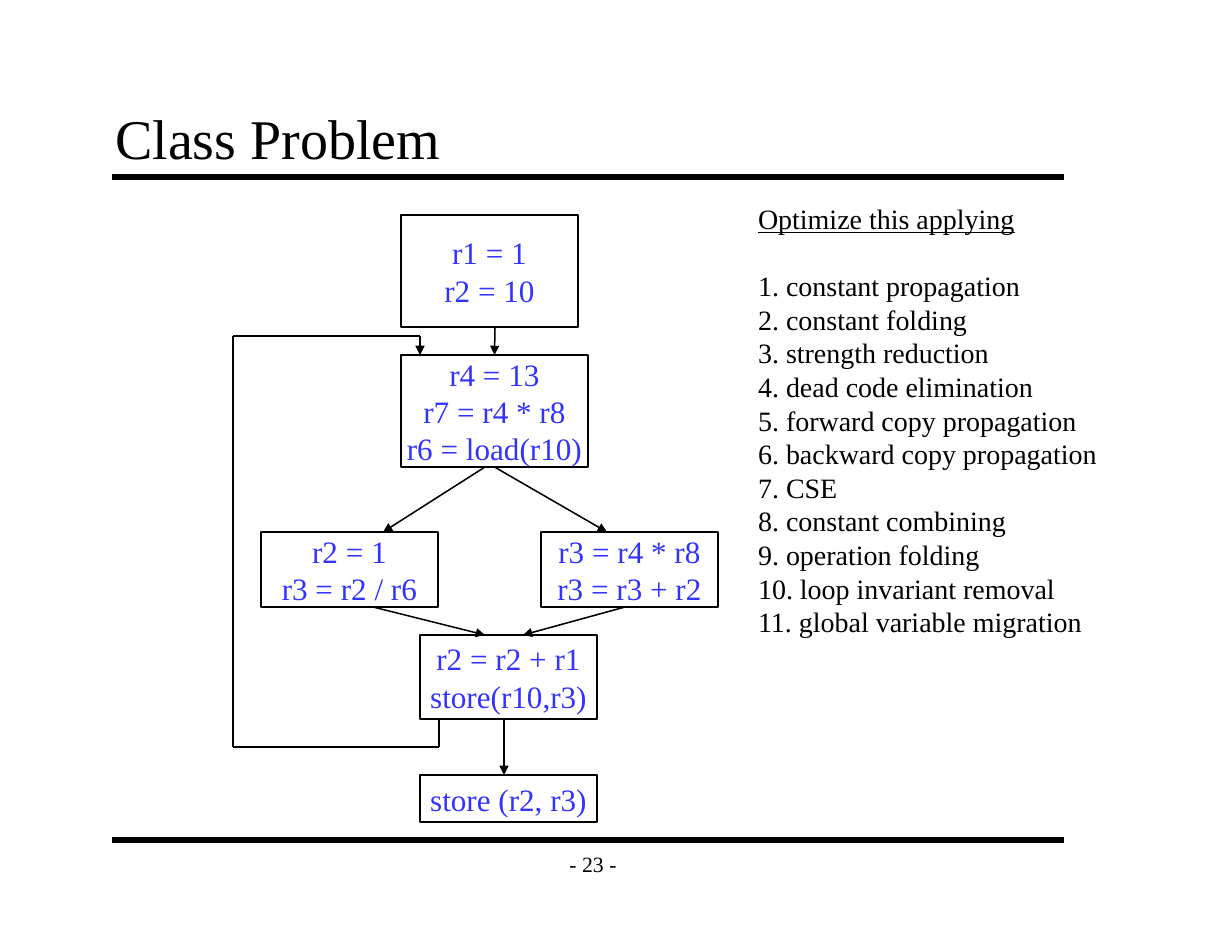
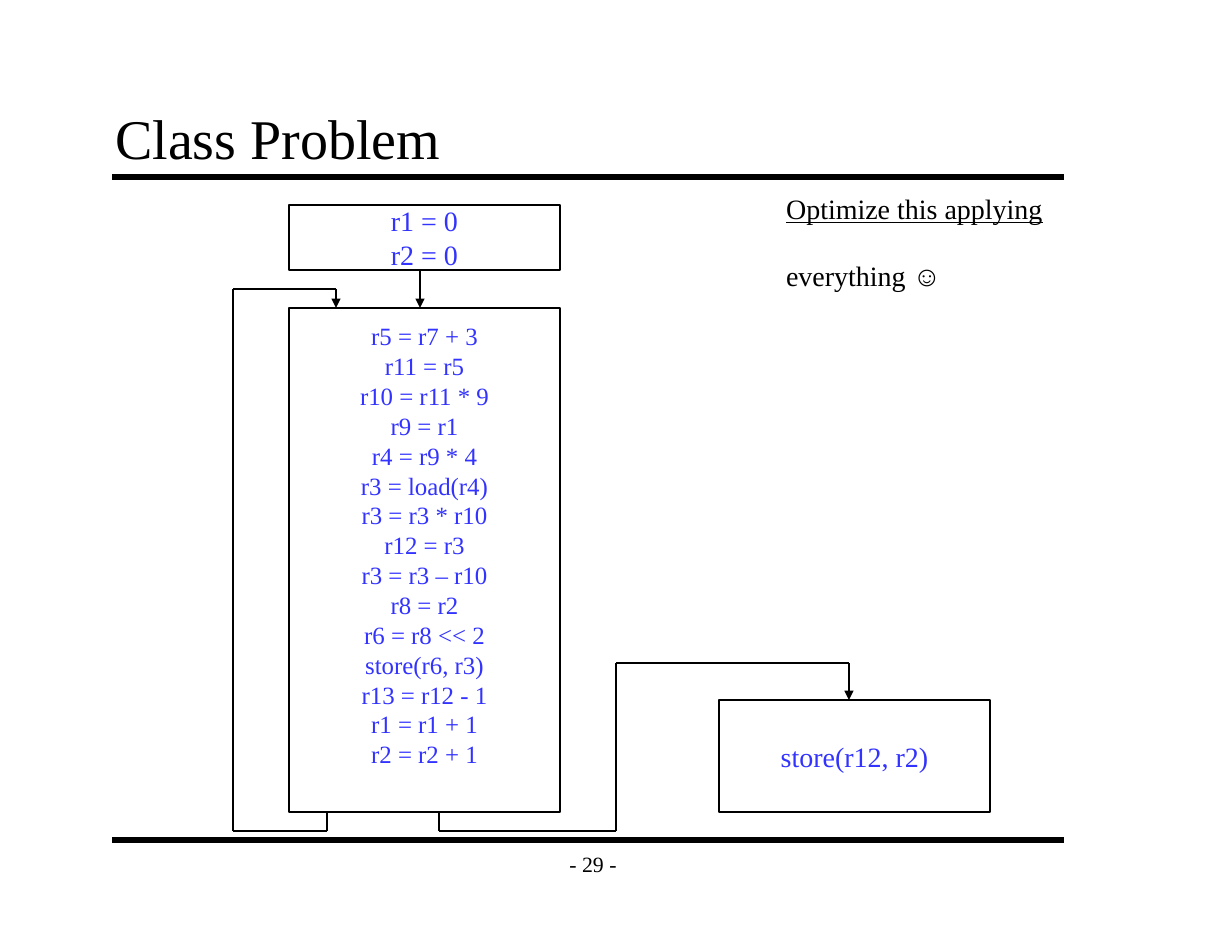
"""Build two class problem slides with control-flow graphs."""
from itertools import pairwise

from lxml.etree import SubElement
from pptx import Presentation
from pptx.dml.color import RGBColor
from pptx.enum.shapes import MSO_CONNECTOR, MSO_SHAPE
from pptx.enum.text import MSO_ANCHOR, MSO_AUTO_SIZE, PP_ALIGN
from pptx.oxml.ns import qn
from pptx.util import Inches, Pt

FONT = "Times New Roman"
COLORS = {"ink": "000000", "code": "3333FF", "paper": "FFFFFF"}


def tint(name):
    return RGBColor.from_string(COLORS[name])


class Deck:
    def __init__(self):
        self.prs = Presentation()
        self.prs.slide_width = Inches(11)
        self.prs.slide_height = Inches(8.5)
        self.slide = None

    def page(self, title, number):
        self.slide = self.prs.slides.add_slide(self.prs.slide_layouts[5])
        for y in (1.58, 7.5):
            self.line((1, y), (9.5, y), 4)
        foot = self.slide.shapes.add_textbox(*map(Inches, (4.92, 7.5, 0.75, 0.42)))
        self.label(foot, f"- {number} -", 14, align=PP_ALIGN.CENTER,
                   anchor=MSO_ANCHOR.MIDDLE)
        head = self.slide.shapes.title
        head.left, head.top, head.width, head.height = map(
            Inches, (0.92, 0.91, 8.5, 0.67))
        self.label(head, title, 36, anchor=MSO_ANCHOR.BOTTOM, wrap=True)
        for item in (foot, head):
            frame = item.text_frame
            frame.margin_left = frame.margin_right = Inches(0.11)
            frame.margin_top = frame.margin_bottom = Inches(0.06)

    def label(self, shape, text, size, color="ink", align=PP_ALIGN.LEFT,
              anchor=MSO_ANCHOR.TOP, wrap=False):
        frame = shape.text_frame
        frame.text = text
        frame.word_wrap = wrap
        frame.auto_size = MSO_AUTO_SIZE.NONE
        frame.vertical_anchor = anchor
        for para in frame.paragraphs:
            para.alignment = align
            for run in para.runs:
                run.font.name = FONT
                run.font.size = Pt(size)
                run.font.color.rgb = tint(color)

    def block(self, x, y, wide, high, text, size=20):
        box = self.slide.shapes.add_shape(
            MSO_SHAPE.RECTANGLE, *map(Inches, (x, y, wide, high)))
        box.shadow.inherit = False
        box.fill.solid()
        box.fill.fore_color.rgb = tint("paper")
        box.line.color.rgb = tint("ink")
        box.line.width = Pt(1)
        self.label(box, text, size, "code", PP_ALIGN.CENTER, MSO_ANCHOR.MIDDLE)
        return box

    def notes(self, x, y, wide, high, head, body):
        box = self.slide.shapes.add_textbox(*map(Inches, (x, y, wide, high)))
        self.label(box, f"{head}\n{body}", 18)
        first, second = box.text_frame.paragraphs[:2]
        first.runs[0].font.underline = True
        second.space_before = Pt(21.6)

    def line(self, start, end, width=1, arrow=False):
        link = self.slide.shapes.add_connector(
            MSO_CONNECTOR.STRAIGHT, *map(Inches, (*start, *end)))
        link.line.color.rgb = tint("ink")
        link.line.width = Pt(width)
        props = link._element.spPr
        if arrow:
            SubElement(props.find(qn("a:ln")), qn("a:tailEnd"), type="triangle")
        SubElement(props, qn("a:effectLst"))
        return link

    def arrow(self, start, end):
        return self.line(start, end, arrow=True)

    def route(self, *points):
        pairs = list(pairwise(points))
        for start, end in pairs[:-1]:
            self.line(start, end)
        self.arrow(*pairs[-1])


def passes(deck):
    deck.page("Class Problem", 23)
    deck.block(3.58, 1.92, 1.58, 1, "r1 = 1\nr2 = 10")
    test = deck.block(3.58, 3.17, 1.67, 1, "r4 = 13\nr7 = r4 * r8\nr6 = load(r10)")
    deck.block(2.33, 4.75, 1.58, 0.67, "r2 = 1\nr3 = r2 / r6")
    deck.block(4.83, 4.75, 1.58, 0.67, "r3 = r4 * r8\nr3 = r3 + r2")
    deck.block(3.75, 5.67, 1.58, 0.75, "r2 = r2 + r1\nstore(r10,r3)")
    deck.block(3.75, 6.92, 1.58, 0.42, "store (r2, r3)")
    deck.arrow((4.42, 2.92), (4.42, 3.17)).end_connect(test, 0)
    deck.arrow((4.33, 4.17), (3.42, 4.75))
    deck.arrow((4.42, 4.17), (5.42, 4.75)).begin_connect(test, 2)
    deck.arrow((3.33, 5.42), (4.33, 5.67))
    deck.arrow((5.58, 5.42), (4.67, 5.67))
    deck.arrow((4.5, 6.42), (4.5, 6.92))
    deck.route((3.92, 6.42), (3.92, 6.67), (2.08, 6.67), (2.08, 3),
               (3.75, 3), (3.75, 3.17))
    names = ("constant propagation", "constant folding", "strength reduction",
             "dead code elimination", "forward copy propagation",
             "backward copy propagation", "CSE", "constant combining",
             "operation folding", "loop invariant removal",
             "global variable migration")
    body = "\n".join(f"{i}. {name}" for i, name in enumerate(names, 1))
    deck.notes(6.67, 1.75, 3.23, 4.01, "Optimize this applying", body)


def loop(deck):
    deck.page("Class Problem", 29)
    deck.notes(6.92, 1.66, 2.49, 1, "Optimize this applying", "everything ☺")
    code = ("r5 = r7 + 3", "r11 = r5", "r10 = r11 * 9", "r9 = r1", "r4 = r9 * 4",
            "r3 = load(r4)", "r3 = r3 * r10", "r12 = r3", "r3 = r3 – r10",
            "r8 = r2", "r6 = r8 << 2", "store(r6, r3)", "r13 = r12 - 1",
            "r1 = r1 + 1", "r2 = r2 + 1")
    body = deck.block(2.58, 2.75, 2.42, 4.5, "\n".join(code), 16)
    body.text_frame.margin_bottom = Inches(0.32)
    deck.block(2.58, 1.83, 2.42, 0.58, "r1 = 0\nr2 = 0", 18)
    deck.arrow((3.75, 2.42), (3.75, 2.75))
    deck.route((2.92, 7.25), (2.92, 7.42), (2.08, 7.42), (2.08, 2.58),
               (3, 2.58), (3, 2.75))
    deck.block(6.42, 6.25, 2.42, 1, "store(r12, r2)", 18)
    deck.route((3.92, 7.25), (3.92, 7.42), (5.5, 7.42), (5.5, 5.92),
               (7.58, 5.92), (7.58, 6.25))


def main():
    deck = Deck()
    passes(deck)
    loop(deck)
    deck.prs.save("out.pptx")


if __name__ == "__main__":
    main()
